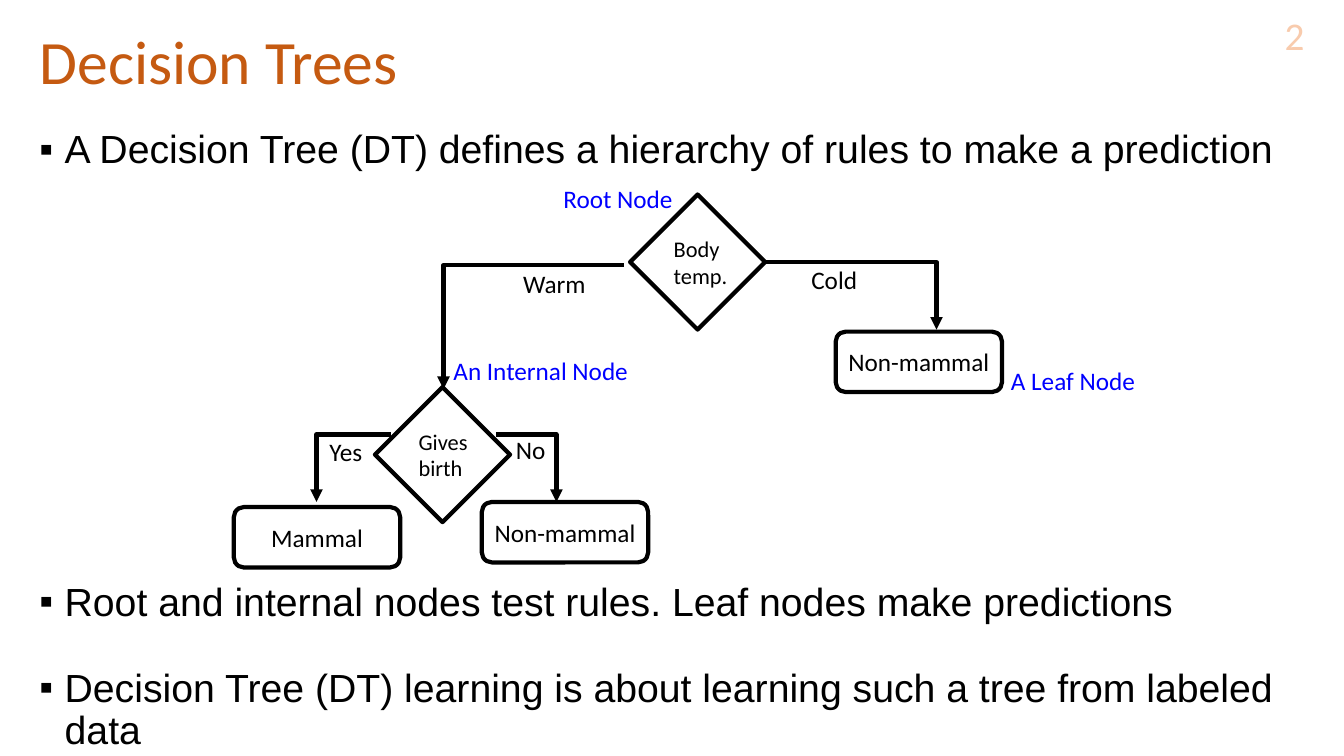
from pptx import Presentation
from pptx import util as u
from pptx.dml.color import RGBColor
from pptx.enum import shapes, text
from pptx.oxml.ns import qn
from lxml import etree

COLORS = {"title": "C55A11", "number": "F8CBAD", "ink": "000000",
          "paper": "FFFFFF", "note": "0000FF"}

# The slide is a grid of 100 columns and 100 rows
WIDTH, HEIGHT = u.Inches(13.33), u.Inches(7.5)
DIAMOND = (10.05, 17.87)
LEAF = (12.38, 8)
LABEL_ROWS = 5.33

BULLETS = [  # wording, space before in points
    ("A Decision Tree (DT) defines a hierarchy of rules to make a prediction", 0),
    ("Root and internal nodes test rules. Leaf nodes make predictions", 293),
    ("Decision Tree (DT) learning is about learning such a tree from labeled data", 31),
]
ARROWS = [  # start column and row, end column and row
    (56.93, 34.67, 69.68, 43.6),
    (46.43, 35.07, 33, 51.47),
    (29.1, 57.47, 23.55, 66.4),
    (36.9, 57.47, 41.4, 66.4),
]
TESTS = [("Body\ntemp.", 46.88, 25.73), ("Gives\nbirth", 27.9, 51.2)]
LEAVES = [("Non-mammal", 62.18, 43.87), ("Non-mammal", 35.85, 66.4),
          ("Mammal", 17.4, 67.07)]
LABELS = [  # wording, column, row, columns wide, colour
    ("Cold", 59.63, 34.27, 4.95, "ink"),
    ("Warm", 38.18, 34.8, 6.23, "ink"),
    ("Yes", 23.78, 57.07, 3.98, "ink"),
    ("No", 37.65, 56.8, 3.75, "ink"),
    ("Root Node", 41.18, 23.6, 9.75, "note"),
    ("An Internal Node", 33, 46.4, 14.63, "note"),
    ("A Leaf Node", 74.48, 47.6, 10.88, "note"),
]


def col(count):
    return u.Emu(round(WIDTH * count / 100))


def row(count):
    return u.Emu(round(HEIGHT * count / 100))


def area(left, top, width, height):
    return col(left), row(top), col(width), row(height)


def color(name):
    return RGBColor.from_string(COLORS[name])


def write(shape, words, size, ink, font="Calibri", align=text.PP_ALIGN.LEFT,
          anchor=text.MSO_ANCHOR.MIDDLE, wrap=True):
    frame = shape.text_frame
    frame.text = words
    frame.word_wrap = wrap
    frame.vertical_anchor = anchor
    for para in frame.paragraphs:
        para.alignment = align
        for span in para.runs:
            span.font.size = u.Pt(size)
            span.font.name = font
            span.font.color.rgb = color(ink)


def add_title(page, words):
    title = page.shapes.title
    title.left, title.top, title.width, title.height = area(2.2, 2.5, 96.3, 12)
    write(title, words, 44, "title")
    title.text_frame.paragraphs[0].line_spacing = 0.9


def add_bullets(page):
    box = page.shapes.add_textbox(*area(2.2, 16.53, 96.3, 81.07))
    write(box, "\n".join(words for words, _ in BULLETS), 28, "ink", "Arial",
          anchor=text.MSO_ANCHOR.TOP)
    for para, (_, gap) in zip(box.text_frame.paragraphs, BULLETS):
        para.line_spacing = 0.9
        para.space_before = u.Pt(gap)
        props = para._p.get_or_add_pPr()
        props.set("marL", str(u.Inches(0.25)))
        props.set("indent", str(-u.Inches(0.25)))
        etree.SubElement(props, qn("a:buFont"), typeface="Arial")
        etree.SubElement(props, qn("a:buChar"), char="▪")


def add_label(page, words, left, top, width, ink):
    box = page.shapes.add_textbox(*area(left, top, width, LABEL_ROWS))
    write(box, words, 18, ink, anchor=text.MSO_ANCHOR.TOP, wrap=False)


def add_node(page, kind, words, left, top, size, points, align):
    node = page.shapes.add_shape(kind, *area(left, top, *size))
    node.shadow.inherit = False
    node.fill.solid()
    node.fill.fore_color.rgb = color("paper")
    node.line.color.rgb = color("ink")
    node.line.width = u.Pt(3)
    write(node, words, points, "ink", align=align, wrap=False)


def add_bent_arrow(page, left, top, end_left, end_top):
    arrow = page.shapes.add_connector(shapes.MSO_CONNECTOR.ELBOW, col(left), row(top),
                                      col(end_left), row(end_top))
    arrow.line.color.rgb = color("ink")
    arrow.line.width = u.Pt(3)
    props = arrow._element.spPr
    # One bend: across, then down
    props.find(qn("a:prstGeom")).set("prst", "bentConnector2")
    etree.SubElement(props.find(qn("a:ln")), qn("a:tailEnd"), type="triangle")
    etree.SubElement(props, qn("a:effectLst"))


def main():
    deck = Presentation()
    deck.slide_width, deck.slide_height = WIDTH, HEIGHT
    page = deck.slides.add_slide(deck.slide_layouts[5])

    # Heading, page number and statements
    add_title(page, "Decision Trees")
    number = page.shapes.add_textbox(*area(92.85, 2, 4.95, LABEL_ROWS))
    write(number, "2", 28, "number", align=text.PP_ALIGN.RIGHT)
    add_bullets(page)

    # Tree: branches below nodes, labels on top
    for arrow in ARROWS:
        add_bent_arrow(page, *arrow)
    for words, left, top in TESTS:
        add_node(page, shapes.MSO_SHAPE.DIAMOND, words, left, top, DIAMOND, 16,
                 text.PP_ALIGN.LEFT)
    for words, left, top in LEAVES:
        add_node(page, shapes.MSO_SHAPE.ROUNDED_RECTANGLE, words, left, top, LEAF, 18,
                 text.PP_ALIGN.CENTER)
    for label in LABELS:
        add_label(page, *label)

    deck.save("out.pptx")


if __name__ == "__main__":
    main()
